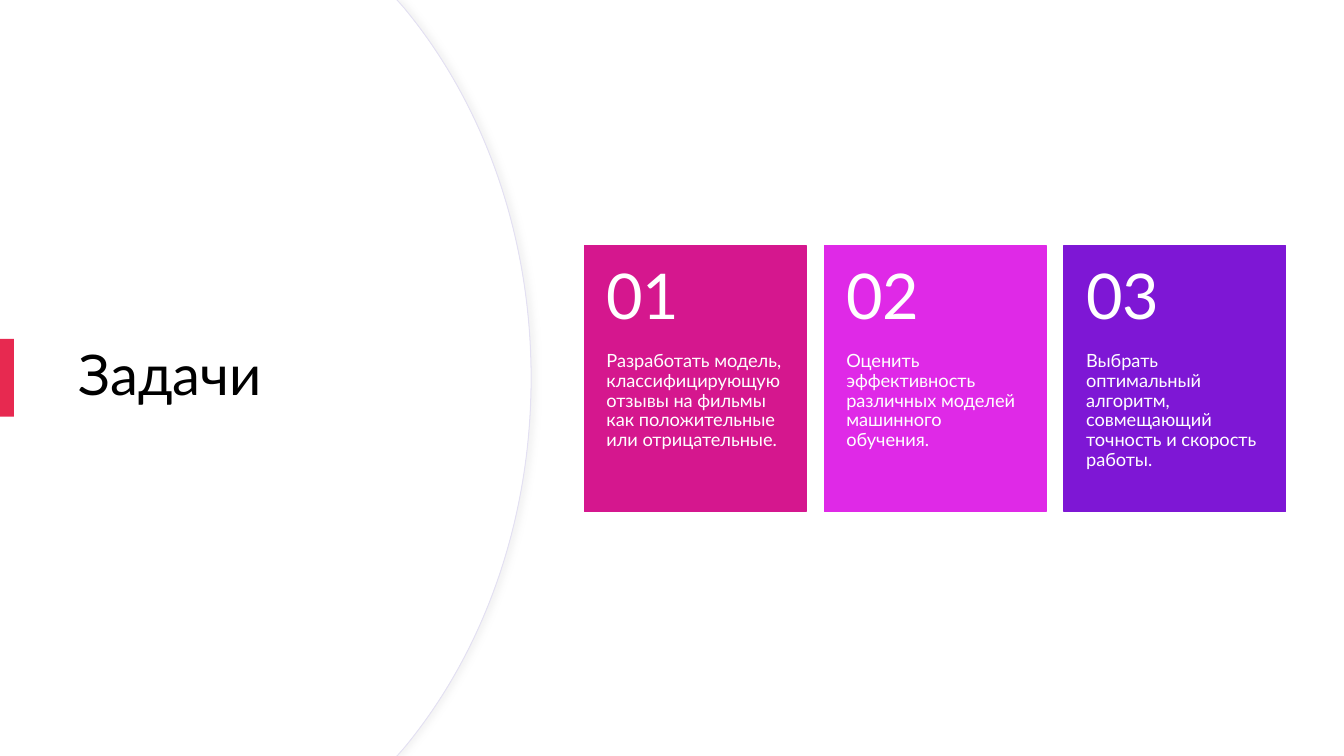
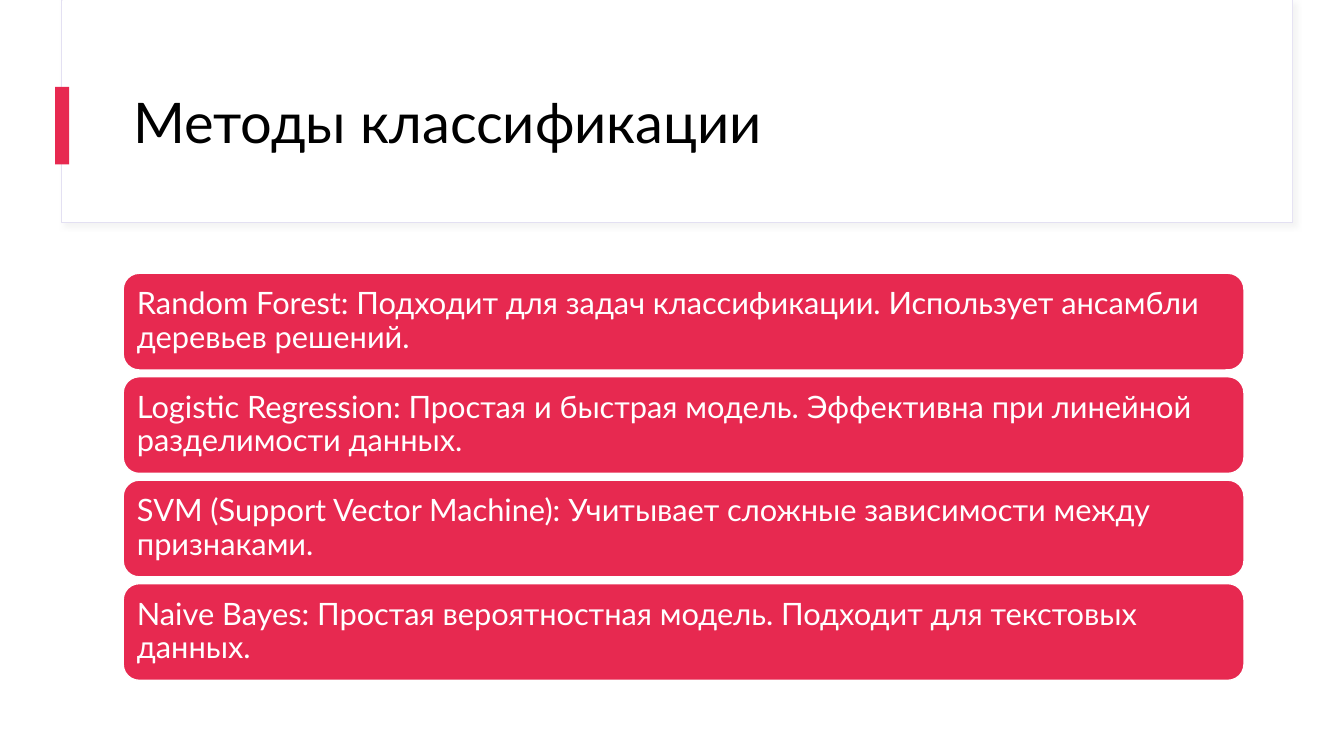
from collections import namedtuple

from lxml import etree
from pptx import Presentation
from pptx.dml.color import RGBColor
from pptx.enum.shapes import MSO_SHAPE
from pptx.enum.text import MSO_ANCHOR, MSO_AUTO_SIZE, PP_ALIGN
from pptx.oxml.ns import qn
from pptx.util import Pt

Box = namedtuple("Box", "left top width height")

FONT = "Lato"
WHITE = RGBColor(0xFF, 0xFF, 0xFF)
BLACK = RGBColor(0x00, 0x00, 0x00)
RED = RGBColor(0xE7, 0x29, 0x50)
MAGENTA = RGBColor(0xD5, 0x17, 0x8E)
PINK = RGBColor(0xDF, 0x29, 0xE7)
VIOLET = RGBColor(0x7E, 0x17, 0xD5)
BORDER = RGBColor(0xE3, 0xE0, 0xF2)
SHADOW = RGBColor(0xD9, 0xD9, 0xD9)

PAGE = Box(0, 0, 960, 540)
BAND = Box(44, 0, 879, 159)
TITLE_ONLY = 5
ACCENT_WIDTH, ACCENT_HEIGHT = 10, 55.5

TASKS = [
    (MAGENTA, "Разработать модель, классифицирующую отзывы на фильмы "
              "как положительные или отрицательные."),
    (PINK, "Оценить эффективность различных моделей машинного обучения."),
    (VIOLET, "Выбрать оптимальный алгоритм, совмещающий точность и скорость работы."),
]
METHODS = [
    "Random Forest: Подходит для задач классификации. Использует ансамбли деревьев решений.",
    "Logistic Regression: Простая и быстрая модель. Эффективна при линейной разделимости данных.",
    "SVM (Support Vector Machine): Учитывает сложные зависимости между признаками.",
    "Naive Bayes: Простая вероятностная модель. Подходит для текстовых данных.",
]


def points(box):
    """Convert a box to four lengths."""
    return [Pt(value) for value in box]


def paint(shape, fill, line=None, width=1):
    """Set the fill and outline of a shape and drop its theme shadow."""
    shape.shadow.inherit = False
    shape.fill.solid()
    shape.fill.fore_color.rgb = fill
    if line is None:
        shape.line.fill.background()
    else:
        shape.line.color.rgb = line
        shape.line.width = Pt(width)
    return shape


def add_block(page, box, fill, line=None, width=1, kind=MSO_SHAPE.RECTANGLE):
    """Add a painted preset shape."""
    return paint(page.shapes.add_shape(kind, *points(box)), fill, line, width)


def add_soft_shadow(shape, degrees):
    """Give a shape a faint outer shadow in the given direction."""
    effects = shape.element.spPr.find(qn("a:effectLst"))
    outer = etree.SubElement(effects, qn("a:outerShdw"), blurRad=str(Pt(4)),
                             dist=str(Pt(3)), dir=str(degrees * 60000))
    color = etree.SubElement(outer, qn("a:srgbClr"), val=str(SHADOW))
    etree.SubElement(color, qn("a:alpha"), val="30000")


def write(shape, text, size, color, anchor=MSO_ANCHOR.MIDDLE, insets=(7.2, 3.6, 7.2, 3.6)):
    """Write one left-aligned paragraph into a shape."""
    frame = shape.text_frame
    frame.word_wrap = True
    frame.auto_size = MSO_AUTO_SIZE.NONE
    frame.vertical_anchor = anchor
    (frame.margin_left, frame.margin_top,
     frame.margin_right, frame.margin_bottom) = points(insets)
    para = frame.paragraphs[0]
    para.text = text
    para.alignment = PP_ALIGN.LEFT
    para.line_spacing = 0.9
    para.font.name = FONT
    para.font.size = Pt(size)
    para.font.color.rgb = color


def add_title(page, box, text, accent_left):
    """Place the title above the panel, with its accent bar centred beside it."""
    title = page.shapes.title
    title.element.getparent().append(title.element)
    title.left, title.top, title.width, title.height = points(box)
    write(title, text, 40, BLACK)
    accent_top = box.top + (box.height - ACCENT_HEIGHT) / 2
    add_block(page, Box(accent_left, accent_top, ACCENT_WIDTH, ACCENT_HEIGHT), RED)


def add_bulge(page, box):
    """Add a freeform filling the box up to its curved right edge."""
    right, bottom = box.left + box.width, box.top + box.height
    upper = [(right - x, box.top + y)
             for x, y in ((95.8, 0), (90.7, 5.8), (34.5, 73.5), (0, 167))]
    lower = [(x, box.top + bottom - y) for x, y in reversed(upper)]
    middle = (right, box.top + box.height / 2)
    outline = upper + [middle] + lower + [(box.left, bottom)]
    builder = page.shapes.build_freeform(Pt(box.left), Pt(box.top))
    builder.add_line_segments([(Pt(x), Pt(y)) for x, y in outline])
    shape = builder.convert_to_shape()
    lines = list(shape.element.iter(qn("a:lnTo")))
    for first in (2, 5):
        curve = etree.Element(qn("a:cubicBezTo"))
        lines[first].addprevious(curve)
        for line in lines[first:first + 3]:
            curve.append(line[0])
            line.getparent().remove(line)
    return shape


def add_round_panel(page, box):
    """Add the curved title panel, open at the page edges."""
    add_soft_shadow(paint(add_bulge(page, box), WHITE, BORDER, 0.75), 0)
    paint(add_bulge(page, box._replace(width=box.width - 0.7)), WHITE)


def add_band(page, layout, box):
    """Put the title band, open at the top of the page, behind the layout's text."""
    outer = add_block(page, box, WHITE, BORDER, 0.75)
    add_soft_shadow(outer, 45)
    inner = add_block(
        page, Box(box.left + 0.5, box.top, box.width - 0.5, box.height - 0.5), WHITE)
    first_holder = layout.placeholders[0].element
    for shape in (outer, inner):
        first_holder.addprevious(shape.element)


def add_cards(page, box, tasks, gap=13):
    """Add a row of numbered cards across the box."""
    width = (box.width - gap * (len(tasks) - 1)) / len(tasks)
    number_height = box.height * 0.4
    for index, (color, text) in enumerate(tasks):
        card = Box(box.left + index * (width + gap), box.top, width, box.height)
        add_block(page, card, color, color)
        body = page.shapes.add_textbox(*points(card._replace(
            top=card.top + number_height, height=card.height - number_height)))
        write(body, text, 13, WHITE, MSO_ANCHOR.TOP, (15.7, 0, 15.7, 26))
        number = page.shapes.add_textbox(*points(card._replace(height=number_height)))
        write(number, f"{index + 1:02}", 45, WHITE, insets=(15.7, 13, 15.7, 13))


def add_bars(page, box, texts, gap=4.8):
    """Add a stack of rounded text bars down the box."""
    height = (box.height - gap * (len(texts) - 1)) / len(texts)
    for index, text in enumerate(texts):
        place = Box(box.left, box.top + index * (height + gap), box.width, height)
        bar = add_block(page, place, RED, WHITE, kind=MSO_SHAPE.ROUNDED_RECTANGLE)
        write(bar, text, 22, WHITE, insets=(6.5,) * 4)


def build_tasks(page):
    """Build the slide of tasks on a plain white ground."""
    add_block(page, PAGE, WHITE)
    add_round_panel(page, PAGE._replace(width=379.4))
    add_title(page, Box(49, 91.6, 283.5, 356.5), "Задачи", 0)
    add_cards(page, Box(417.5, 175.4, 500.9, 190), TASKS)


def build_methods(page):
    """Build the slide of classification methods."""
    add_title(page, Box(88, 43.3, 800.6, 93), "Методы классификации", 39.4)
    add_bars(page, Box(88, 195.2, 800.6, 290.8), METHODS)


def main():
    """Build and save the deck."""
    deck = Presentation()
    deck.slide_width, deck.slide_height = Pt(PAGE.width), Pt(PAGE.height)
    layout = deck.slide_layouts[TITLE_ONLY]
    tasks_page, methods_page = (deck.slides.add_slide(layout) for _ in range(2))
    add_band(tasks_page, layout, BAND)
    build_tasks(tasks_page)
    build_methods(methods_page)
    deck.save("out.pptx")


if __name__ == "__main__":
    main()
